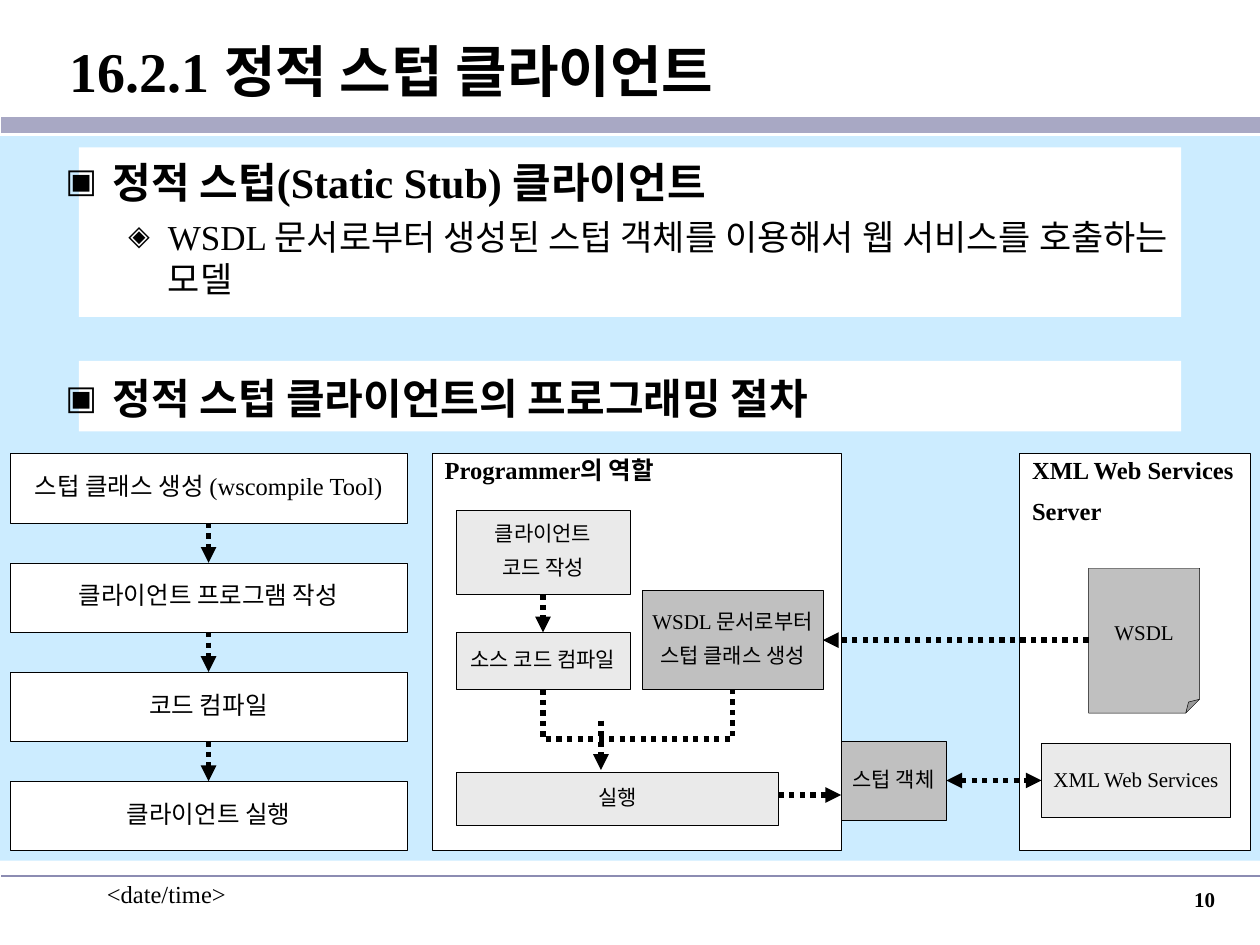
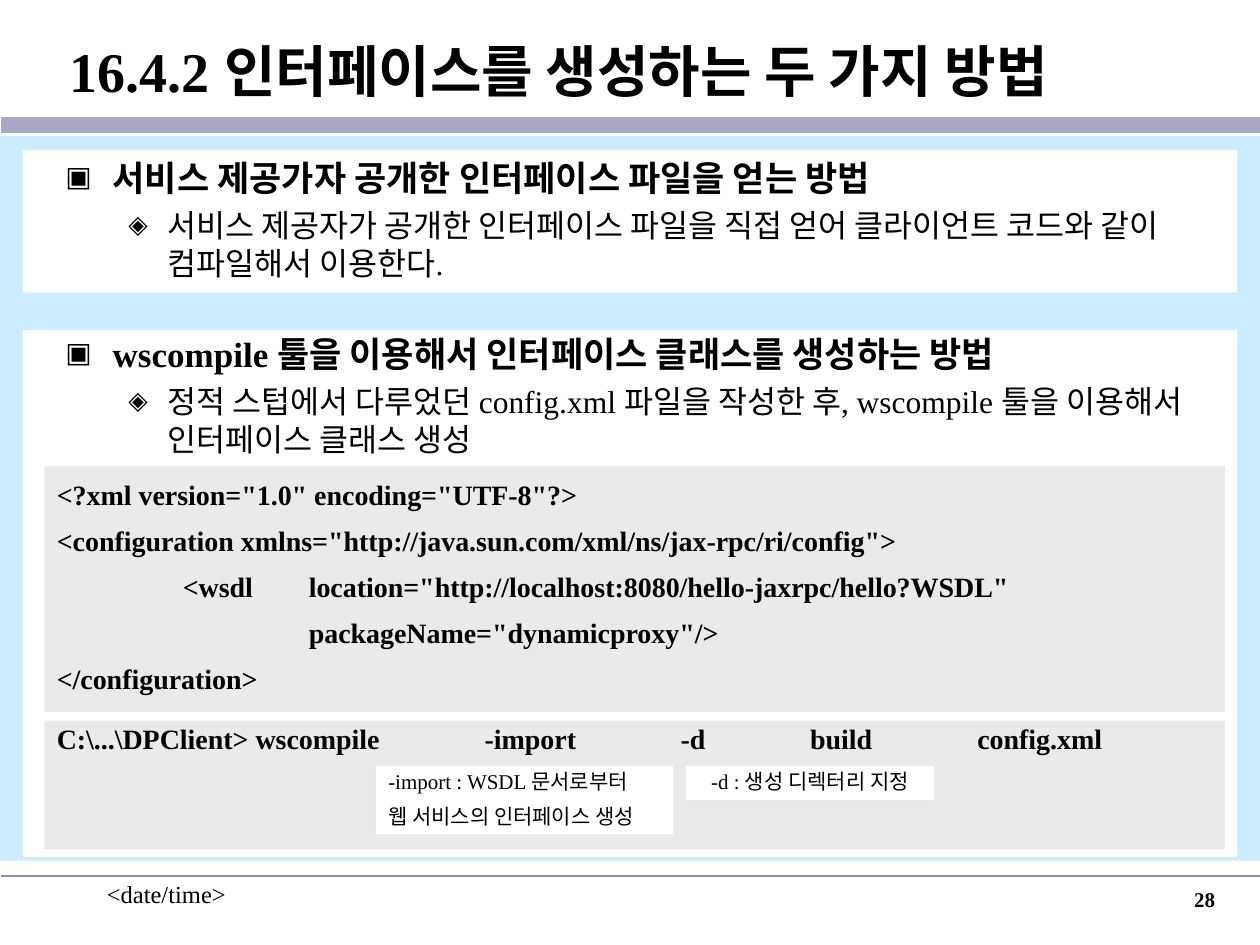
from dataclasses import dataclass

import pptx
import pptx.dml.color
import pptx.enum.dml
import pptx.enum.shapes
import pptx.enum.text
import pptx.oxml.ns
import pptx.util
from lxml import etree

Pt = pptx.util.Pt
SHAPE = pptx.enum.shapes.MSO_SHAPE
ALIGN = pptx.enum.text.PP_ALIGN
ANCHOR = pptx.enum.text.MSO_ANCHOR


@dataclass(frozen=True)
class Theme:
    font: str = "Times New Roman"
    ink: str = "000000"
    paper: str = "FFFFFF"
    sky: str = "CCECFF"
    band: str = "A8A8C4"
    rule: str = "8C8CB2"
    pale: str = "EAEAEA"
    grey: str = "C0C0C0"
    title: float = 32
    code: float = 16
    label: float = 14
    small: float = 12
    thin: float = 0.25
    dots: float = 3


THEME = Theme()
LEVELS = (("▣", 27, -27), ("◈", 58.5, -22.5))


def tint(code):
    return pptx.dml.color.RGBColor.from_string(code)


def child(parent, tag, **attrs):
    return etree.SubElement(parent, pptx.oxml.ns.qn(tag), attrs)


def write(shape, text, size=THEME.small, bold=False, align=ALIGN.CENTER,
          anchor=ANCHOR.MIDDLE, wrap=False, gap=0, lead=None, tabs=(), inset=7.2):
    """Fill a shape with one paragraph per line of text."""
    frame = shape.text_frame
    frame.auto_size = pptx.enum.text.MSO_AUTO_SIZE.NONE
    frame.word_wrap = wrap
    frame.vertical_anchor = anchor
    frame.margin_left, frame.margin_right = Pt(inset), Pt(7.2)
    frame.margin_top = frame.margin_bottom = Pt(3.6)
    for i, line in enumerate(text.split("\n")):
        para = frame.add_paragraph() if i else frame.paragraphs[0]
        if tabs:
            stops = child(para._p.get_or_add_pPr(), "a:tabLst")
            for stop in tabs:
                child(stops, "a:tab", pos=str(Pt(stop)), algn="l")
        para.alignment = align
        para.line_spacing = lead
        para.space_before = Pt(gap if i else 0)
        style(para, line, size, bold)


def style(para, text, size, bold):
    run = para.add_run()
    run.text = text
    run.font.name = THEME.font
    run.font.size = Pt(size)
    run.font.bold = bold
    run.font.color.rgb = tint(THEME.ink)


def place(shape, area):
    shape.left, shape.top, shape.width, shape.height = map(Pt, area)


def box(slide, area, fill, edge=False, kind=SHAPE.RECTANGLE):
    shape = slide.shapes.add_shape(kind, *map(Pt, area))
    shape.shadow.inherit = False
    shape.fill.solid()
    shape.fill.fore_color.rgb = tint(fill)
    if edge:
        shape.line.color.rgb = tint(THEME.ink)
        shape.line.width = Pt(THEME.thin)
    else:
        shape.line.fill.background()
    return shape


def node(slide, area, text, fill=THEME.pale, size=THEME.small, kind=SHAPE.RECTANGLE):
    shape = box(slide, area, fill, True, kind)
    if kind == SHAPE.FOLDED_CORNER:
        guides = shape._element.find(".//" + pptx.oxml.ns.qn("a:avLst"))
        child(guides, "a:gd", name="adj", fmla="val 12500")
    write(shape, text, size, gap=7.5, lead=0.85)


def label(slide, area, text, **form):
    write(slide.shapes.add_textbox(*map(Pt, area)), text, wrap=True,
          anchor=ANCHOR.TOP, **form)


def panel(slide, area, head):
    box(slide, area, THEME.paper, True)
    label(slide, (*area[:3], 45), head, size=THEME.label, bold=True,
          align=ALIGN.LEFT, gap=8.8, lead=0.85)


def line(slide, start, end, color, width):
    link = slide.shapes.add_connector(
        pptx.enum.shapes.MSO_CONNECTOR.STRAIGHT, *map(Pt, (*start, *end)))
    link.line.color.rgb = tint(color)
    link.line.width = Pt(width)
    child(link._element.spPr, "a:effectLst")
    return link


def dot(shape):
    shape.line.dash_style = pptx.enum.dml.MSO_LINE.ROUND_DOT


def arrow(slide, start, end, both=False):
    link = line(slide, start, end, THEME.ink, THEME.dots)
    dot(link)
    edge = link.line._get_or_add_ln()
    if both:
        child(edge, "a:headEnd", type="triangle")
    child(edge, "a:tailEnd", type="triangle")


def join(slide, points):
    """Draw an open dotted path through the points."""
    points = [tuple(map(Pt, point)) for point in points]
    maker = slide.shapes.build_freeform(*points[0])
    maker.add_line_segments(points[1:], close=False)
    shape = maker.convert_to_shape()
    shape.shadow.inherit = False
    shape.fill.background()
    shape.line.color.rgb = tint(THEME.ink)
    shape.line.width = Pt(THEME.dots)
    dot(shape)


def raise_up(slide, index):
    """Bring a placeholder in front of the panels drawn so far."""
    holder = slide.placeholders[index]
    slide.shapes._spTree.append(holder._element)
    return holder


def start(deck, title, page, cards):
    """Add a slide with the shared bands, footer, title and white cards."""
    slide = deck.slides.add_slide(deck.slide_layouts[1])
    line(slide, (0.7, 71.3), (720, 71.3), THEME.band, 9.25)
    line(slide, (0.7, 500.4), (720, 500.4), THEME.rule, 1)
    label(slide, (54, 499, 150, 36), "<date/time>", size=THEME.label, align=ALIGN.LEFT)
    label(slide, (551.5, 503.3, 150, 36), page, bold=True, align=ALIGN.RIGHT)
    box(slide, (0, 77.8, 720, 414), THEME.sky)
    for card in cards:
        box(slide, card, THEME.paper)
    head = raise_up(slide, 0)
    place(head, (0.7, 7.9, 719.3, 64.8))
    write(head, title, THEME.title, True, ALIGN.LEFT, wrap=True, inset=39.2)
    return slide


def outline(slide, area, items, sizes):
    """Fill the body from (level, space before, text) items."""
    body = raise_up(slide, 1)
    place(body, area)
    frame = body.text_frame
    frame.auto_size = pptx.enum.text.MSO_AUTO_SIZE.NONE
    frame.margin_left = frame.margin_right = Pt(7.2)
    frame.margin_top = frame.margin_bottom = Pt(3.6)
    for i, (level, gap, text) in enumerate(items):
        para = frame.add_paragraph() if i else frame.paragraphs[0]
        mark, left, indent = LEVELS[level]
        props = para._p.get_or_add_pPr()
        props.set("marL", str(Pt(left)))
        props.set("indent", str(Pt(indent)))
        child(child(props, "a:buClr"), "a:srgbClr", val=THEME.ink)
        child(props, "a:buSzPct", val="80000")
        child(props, "a:buFont", typeface=THEME.font)
        child(props, "a:buChar", char=mark)
        para.level = level
        para.space_before = Pt(gap)
        style(para, text, sizes[level], level == 0)


def draw_steps(slide):
    left, top, width, height, pitch = 5.8, 259.2, 226.8, 39.6, 62.4
    steps = ("스텁 클래스 생성 (wscompile Tool)", "클라이언트 프로그램 작성",
             "코드 컴파일", "클라이언트 실행")
    mid = left + width / 2
    for i, step in enumerate(steps):
        y = top + i * pitch
        node(slide, (left, y, width, height), step, THEME.paper, THEME.label)
        if i:
            arrow(slide, (mid, y - pitch + height), (mid, y))


def draw_roles(slide):
    panel(slide, (247, 259.2, 234, 226.8), "Programmer의 역할")
    node(slide, (260.6, 291.6, 99.4, 48), "클라이언트\n코드 작성")
    node(slide, (367.2, 337.5, 103, 56.5), "WSDL 문서로부터\n스텁 클래스 생성", THEME.grey)
    node(slide, (260.6, 361.4, 99.4, 32.6), "소스 코드 컴파일")
    node(slide, (260.6, 441.4, 184.4, 30.4), "실행")
    panel(slide, (582.7, 259.2, 131.8, 226.8), "XML Web Services\nServer")
    node(slide, (622.1, 324.7, 63.4, 82.8), "WSDL", THEME.grey, kind=SHAPE.FOLDED_CORNER)
    node(slide, (595.2, 424.8, 108, 42.5), "XML Web Services")
    node(slide, (480.6, 423.8, 60.2, 45), "스텁 객체", THEME.grey)
    arrow(slide, (310.3, 339.6), (310.3, 361.4))
    join(slide, ((310.3, 394), (310.3, 422.4), (418.5, 422.4), (418.5, 394)))
    arrow(slide, (343.4, 411.8), (343.4, 440))
    arrow(slide, (445, 454.3), (480.6, 454.3))
    arrow(slide, (540.8, 446), (595.2, 446), both=True)
    arrow(slide, (622.1, 365.8), (470.2, 365.8))


def stub_slide(deck):
    slide = start(deck, "16.2.1 정적 스텁 클라이언트", "10",
                  ((45, 206.2, 630, 40.4), (45, 84.2, 630, 97)))
    outline(slide, (30.2, 85.7, 659.5, 411), (
        (0, 0, "정적 스텁(Static Stub) 클라이언트"),
        (1, 5, "WSDL 문서로부터 생성된 스텁 객체를 이용해서 웹 서비스를 호출하는 모델"),
        (0, 42, "정적 스텁 클라이언트의 프로그래밍 절차")), (24, 20))
    draw_steps(slide)
    draw_roles(slide)


def tool_slide(deck):
    slide = start(deck, "16.4.2 인터페이스를 생성하는 두 가지 방법", "28",
                  ((13, 188.6, 694, 301), (13, 85.7, 694, 81.4)))
    outline(slide, (30.2, 85.7, 659.5, 201), (
        (0, 0, "서비스 제공가자 공개한 인터페이스 파일을 얻는 방법"),
        (1, 4.5, "서비스 제공자가 공개한 인터페이스 파일을 직접 얻어 클라이언트 코드와 같이 "
                 "컴파일해서 이용한다."),
        (0, 29, "wscompile 툴을 이용해서 인터페이스 클래스를 생성하는 방법"),
        (1, 4.5, "정적 스텁에서 다루었던 config.xml 파일을 작성한 후, wscompile 툴을 "
                 "이용해서 인터페이스 클래스 생성")), (20, 18))
    listing = "\n".join((
        '<?xml version="1.0" encoding="UTF-8"?>',
        '<configuration xmlns="http://java.sun.com/xml/ns/jax-rpc/ri/config">',
        '\t<wsdl\tlocation="http://localhost:8080/hello-jaxrpc/hello?WSDL"',
        '\t\tpackageName="dynamicproxy"/>',
        '</configuration>'))
    code = dict(size=THEME.code, bold=True, align=ALIGN.LEFT, wrap=True, lead=0.85)
    write(box(slide, (25.4, 266.4, 674.6, 140.4), THEME.pale), listing,
          gap=10, tabs=(72, 144), **code)
    write(box(slide, (25.4, 411.8, 674.6, 73.6), THEME.pale),
          "C:\\...\\DPClient> wscompile\t-import\t-d\tbuild\tconfig.xml",
          anchor=ANCHOR.TOP, tabs=(244.5, 356.5, 430.5, 526), **code)
    note = dict(anchor=ANCHOR.TOP, wrap=True, gap=7.5, lead=0.85)
    write(box(slide, (214.8, 437.8, 169.9, 39), THEME.paper),
          "-import : WSDL 문서로부터\n웹 서비스의 인터페이스 생성", align=ALIGN.LEFT, **note)
    write(box(slide, (392, 437.8, 141.8, 19.4), THEME.paper),
          "-d : 생성 디렉터리 지정", **note)


def main():
    deck = pptx.Presentation()
    deck.slide_width, deck.slide_height = Pt(720), Pt(540)
    stub_slide(deck)
    tool_slide(deck)
    deck.save("out.pptx")


if __name__ == "__main__":
    main()
